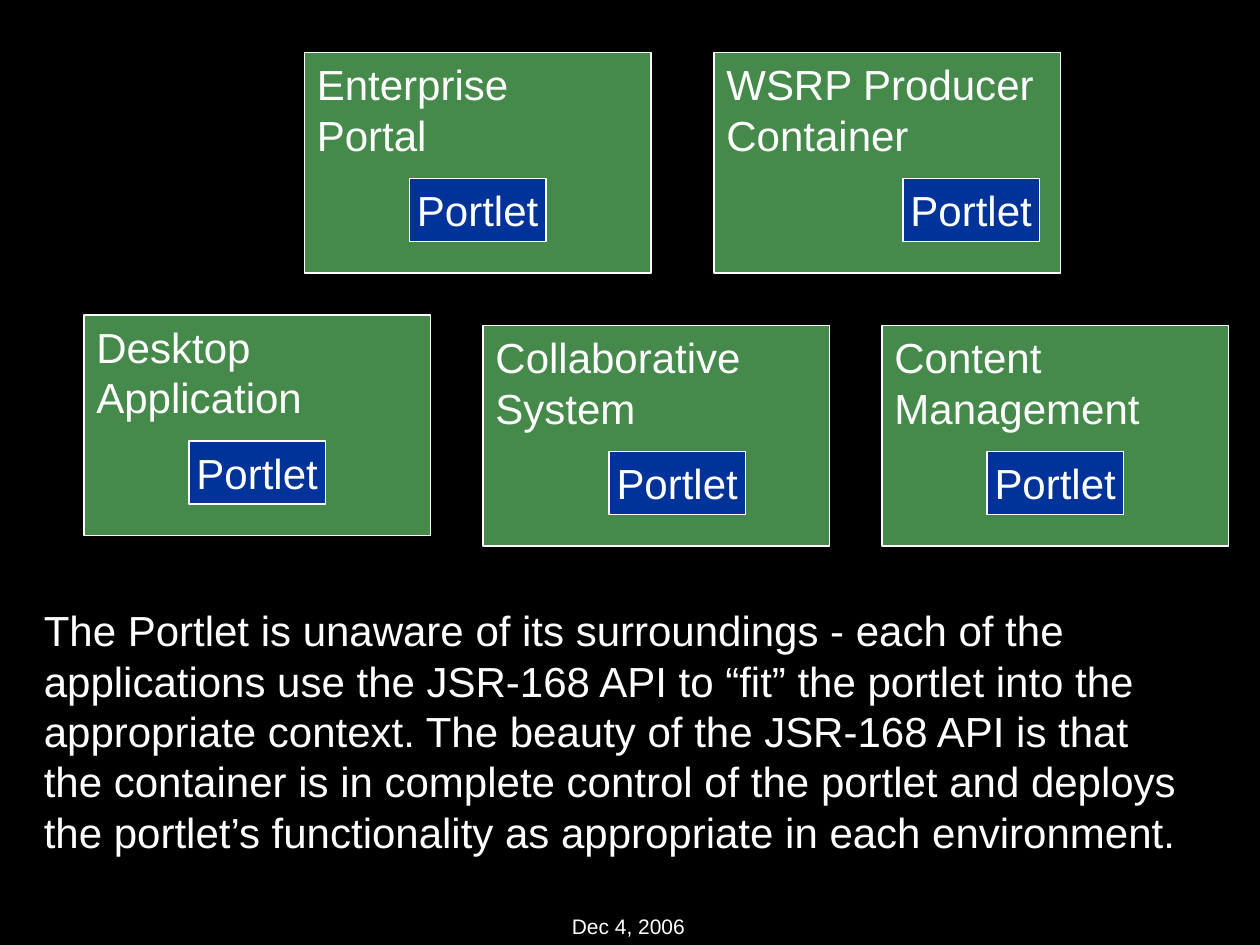
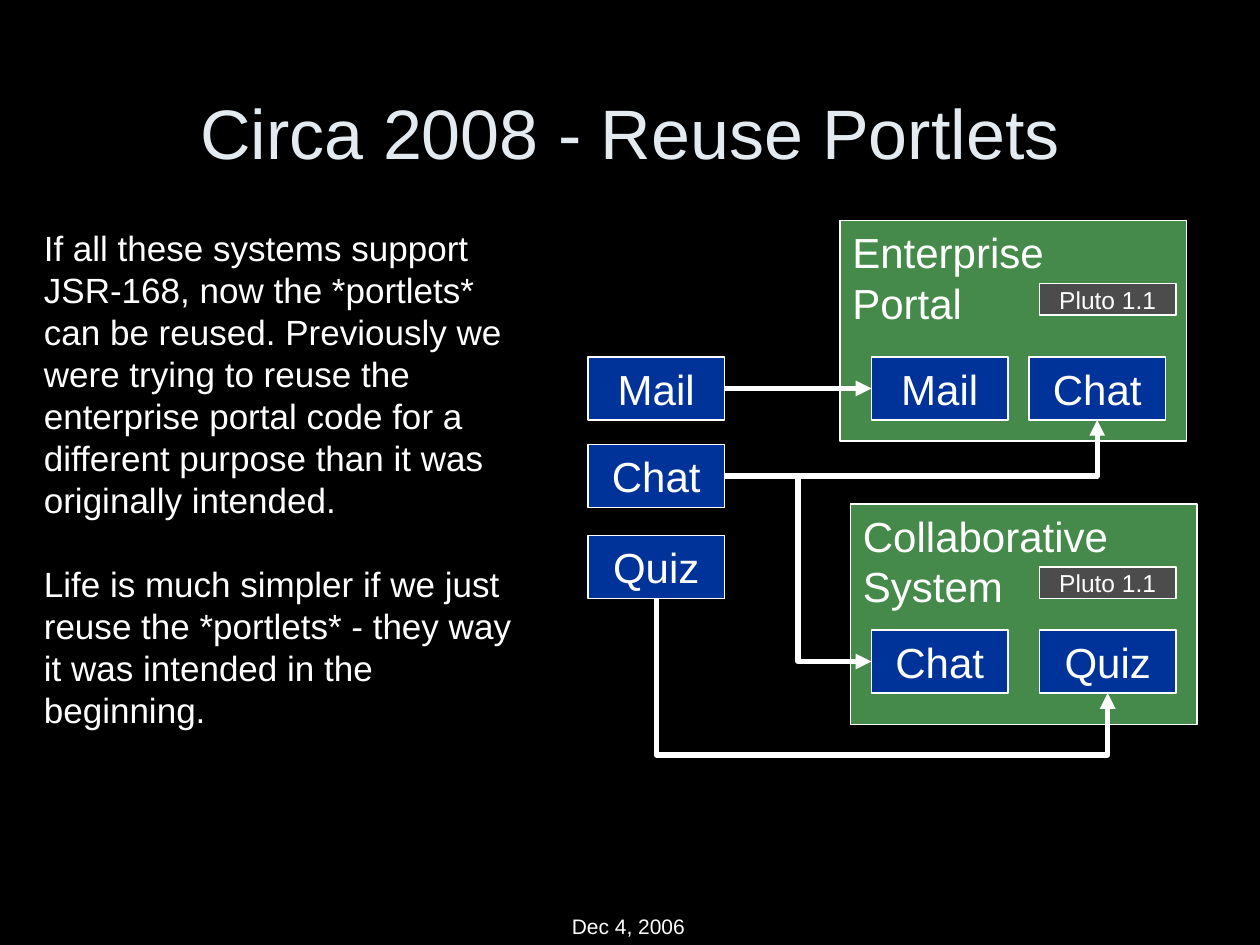
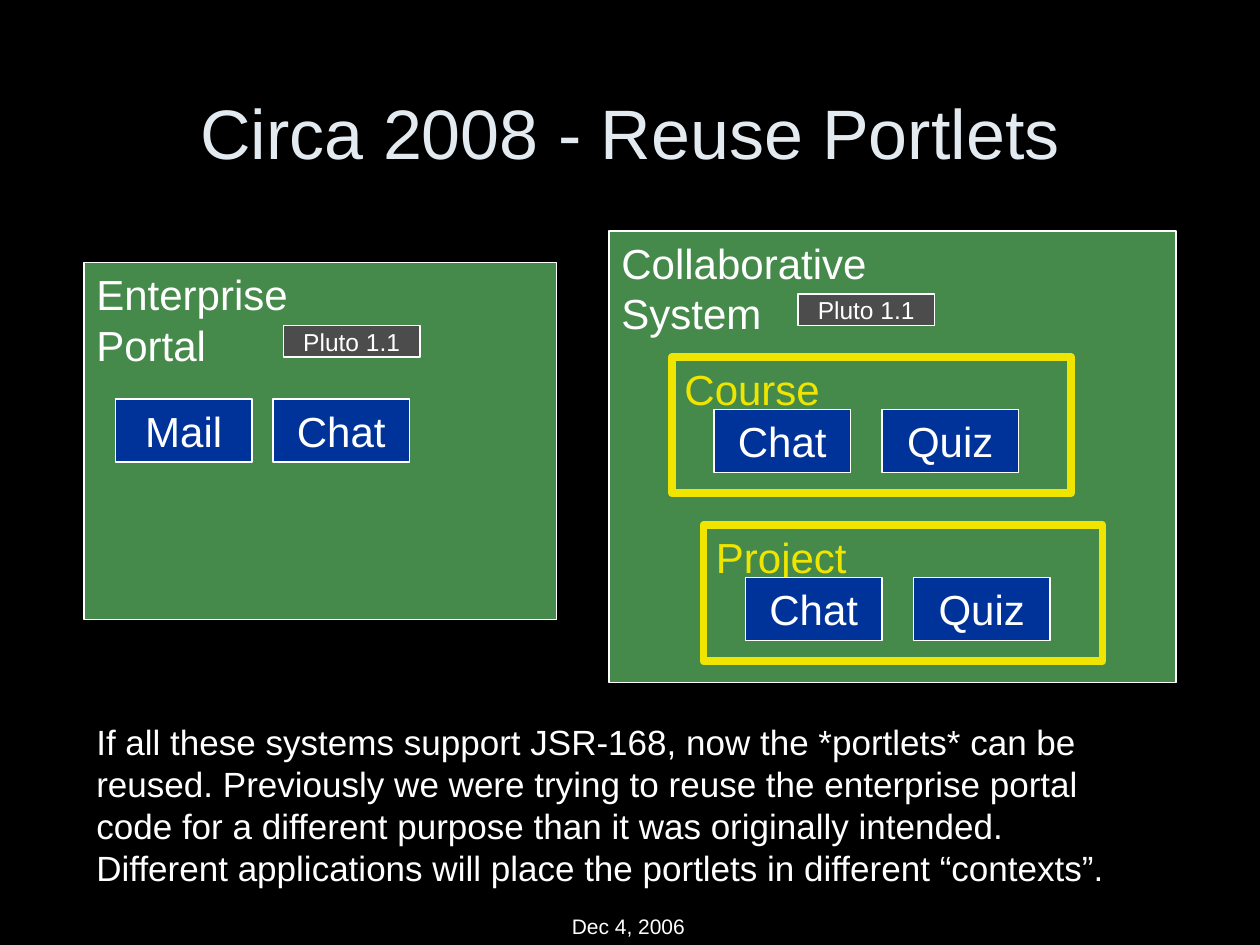
from dataclasses import dataclass
from typing import Optional

from lxml.etree import SubElement
from pptx import Presentation
from pptx.dml.color import RGBColor
from pptx.enum.shapes import MSO_CONNECTOR, MSO_SHAPE
from pptx.enum.text import MSO_ANCHOR, PP_ALIGN
from pptx.oxml.ns import qn
from pptx.presentation import Presentation as Deck
from pptx.shapes.autoshape import Shape
from pptx.shapes.connector import Connector
from pptx.slide import Slide
from pptx.text.text import TextFrame
from pptx.util import Pt

BLACK = RGBColor(0x00, 0x00, 0x00)
WHITE = RGBColor(0xFF, 0xFF, 0xFF)
GREEN = RGBColor(0x46, 0x8A, 0x4B)
BLUE = RGBColor(0x00, 0x33, 0x99)
GRAY = RGBColor(0x4C, 0x4C, 0x4C)
YELLOW = RGBColor(0xF0, 0xE5, 0x00)
PALE_BLUE = RGBColor(0xE3, 0xEB, 0xF1)

FONT = "Arial"
TITLE = "Circa 2008 - Reuse Portlets"
FOOTER = "Dec 4, 2006"
TOP, LEFT, BOTTOM, RIGHT = range(4)
PORTLET_WIDTH, PORTLET_HEIGHT = 78, 36
PLUTO_HEIGHT = 18
SYSTEM_WIDTH, SYSTEM_HEIGHT = 198, 126
CONTEXT_WIDTH, CONTEXT_HEIGHT = 228, 78


@dataclass(frozen=True)
class BoxStyle:
    fill: Optional[RGBColor]
    accent: RGBColor = WHITE
    line_width: float = 0.75
    size: float = 24
    centered: bool = False


SYSTEM = BoxStyle(GREEN)
PORTLET = BoxStyle(BLUE, centered=True)
PLUTO = BoxStyle(GRAY, size=14, centered=True)
CONTEXT = BoxStyle(None, YELLOW, 4.5)


@dataclass(frozen=True)
class HostSystem:
    name: str
    left: float
    top: float
    portlet_offset: float


@dataclass(frozen=True)
class Context:
    name: str
    left: float
    top: float


HOST_SYSTEMS = [
    HostSystem("Enterprise\nPortal", 174, 30, 60),
    HostSystem("WSRP Producer\nContainer", 408, 30, 108),
    HostSystem("Desktop\nApplication", 48, 180, 60),
    HostSystem("Collaborative\nSystem", 276, 186, 72),
    HostSystem("Content\nManagement", 504, 186, 60),
]
CONTEXTS = [Context("Course", 384, 204), Context("Project", 402, 300)]


def format_text(frame: TextFrame, size: float, color: RGBColor, centered: bool = False) -> None:
    for paragraph in frame.paragraphs:
        paragraph.alignment = PP_ALIGN.CENTER if centered else PP_ALIGN.LEFT
        for run in paragraph.runs:
            run.font.name = FONT
            run.font.size = Pt(size)
            run.font.color.rgb = color


def add_box(slide: Slide, text: str, left: float, top: float, width: float, height: float,
            style: BoxStyle) -> Shape:
    shape = slide.shapes.add_shape(MSO_SHAPE.RECTANGLE, Pt(left), Pt(top), Pt(width), Pt(height))
    shape.shadow.inherit = False
    if style.fill is None:
        shape.fill.background()
    else:
        shape.fill.solid()
        shape.fill.fore_color.rgb = style.fill
    shape.line.color.rgb = style.accent
    shape.line.width = Pt(style.line_width)
    frame = shape.text_frame
    frame.word_wrap = False
    frame.vertical_anchor = MSO_ANCHOR.MIDDLE if style.centered else MSO_ANCHOR.TOP
    frame.text = text
    format_text(frame, style.size, style.accent, style.centered)
    return shape


def add_system(slide: Slide, name: str, left: float, top: float,
               width: float = SYSTEM_WIDTH, height: float = SYSTEM_HEIGHT) -> Shape:
    return add_box(slide, name, left, top, width, height, SYSTEM)


def add_portlet(slide: Slide, name: str, left: float, top: float) -> Shape:
    return add_box(slide, name, left, top, PORTLET_WIDTH, PORTLET_HEIGHT, PORTLET)


def add_pluto(slide: Slide, left: float, top: float) -> Shape:
    return add_box(slide, "Pluto 1.1", left, top, PORTLET_WIDTH, PLUTO_HEIGHT, PLUTO)


def add_text(slide: Slide, text: str, left: float, top: float, width: float, height: float,
             size: float, color: RGBColor = WHITE, centered: bool = False,
             wrap: bool = True) -> TextFrame:
    frame = slide.shapes.add_textbox(Pt(left), Pt(top), Pt(width), Pt(height)).text_frame
    frame.word_wrap = wrap
    frame.text = text
    format_text(frame, size, color, centered)
    return frame


def add_arrow(slide: Slide, source: Shape, source_side: int, target: Shape, target_side: int,
              kind: MSO_CONNECTOR = MSO_CONNECTOR.ELBOW) -> Connector:
    connector = slide.shapes.add_connector(kind, 0, 0, 0, 0)
    connector.begin_connect(source, source_side)
    connector.end_connect(target, target_side)
    connector.line.color.rgb = WHITE
    connector.line.width = Pt(3)
    SubElement(connector.line._get_or_add_ln(), qn("a:tailEnd"), type="triangle")
    SubElement(connector._element.spPr, qn("a:effectLst"))
    return connector


def turn_once(connector: Connector) -> None:
    connector._element.spPr.find(qn("a:prstGeom")).set("prst", "bentConnector2")


def loop_below(connector: Connector, depth: float) -> None:
    span, rise = connector.width, connector.height
    center_x = connector.left + span // 2
    center_y = connector.top + rise // 2
    connector.left, connector.top = center_x - rise // 2, center_y - span // 2
    connector.width, connector.height = rise, span
    properties = connector._element.spPr
    transform = properties.find(qn("a:xfrm"))
    transform.set("rot", "16200000")
    transform.set("flipH", "1")
    adjustments = properties.find(qn("a:prstGeom")).find(qn("a:avLst"))
    ratio = round(100000 * Pt(depth) / rise)
    SubElement(adjustments, qn("a:gd"), name="adj1", fmla=f"val {ratio}")


def add_slide(presentation: Deck, title: Optional[str] = None) -> Slide:
    slide = presentation.slides.add_slide(presentation.slide_layouts[6])
    add_text(slide, FOOTER, 319.7, 518.4, 79.2, 21.6, 12, wrap=False)
    if title:
        frame = add_text(slide, title, 54, 30, 612, 90, 40, PALE_BLUE, centered=True)
        frame.vertical_anchor = MSO_ANCHOR.MIDDLE
    return slide


def build_surroundings(presentation: Deck) -> None:
    slide = add_slide(presentation)
    for system in HOST_SYSTEMS:
        add_system(slide, system.name, system.left, system.top)
        add_portlet(slide, "Portlet", system.left + system.portlet_offset, system.top + 72)
    add_text(
        slide,
        "The Portlet is unaware of its surroundings - each of the applications use the JSR-168 "
        "API to “fit” the portlet into the appropriate context. The beauty of the JSR-168 API "
        "is that the container is in complete control of the portlet and deploys the portlet’s "
        "functionality as appropriate in each environment.",
        18, 342, 670, 151, 24,
    )


def build_reuse(presentation: Deck) -> None:
    slide = add_slide(presentation, TITLE)
    frame = add_text(
        slide,
        "If all these systems support JSR-168, now the *portlets* can be reused. Previously we "
        "were trying to reuse the enterprise portal code for a different purpose than it was "
        "originally intended.\n"
        "Life is much simpler if we just reuse the *portlets* - they way it was intended in the "
        "beginning.",
        18, 126, 294, 295, 20,
    )
    frame.paragraphs[1].space_before = Pt(24)

    add_system(slide, "Collaborative\nSystem", 486, 288)
    add_system(slide, "Enterprise\nPortal", 480, 126)
    for top in (162, 324):
        add_pluto(slide, 594, top)

    mail = add_portlet(slide, "Mail", 336, 204)
    chat = add_portlet(slide, "Chat", 336, 254)
    quiz = add_portlet(slide, "Quiz", 336, 306)
    portal_mail = add_portlet(slide, "Mail", 498, 204)
    portal_chat = add_portlet(slide, "Chat", 588, 204)
    system_chat = add_portlet(slide, "Chat", 498, 360)
    system_quiz = add_portlet(slide, "Quiz", 594, 360)

    loop_below(add_arrow(slide, quiz, BOTTOM, system_quiz, BOTTOM), 89.4)
    turn_once(add_arrow(slide, chat, RIGHT, portal_chat, BOTTOM))
    add_arrow(slide, chat, RIGHT, system_chat, LEFT)
    add_arrow(slide, mail, RIGHT, portal_mail, LEFT, MSO_CONNECTOR.STRAIGHT)


def build_contexts(presentation: Deck) -> None:
    slide = add_slide(presentation, TITLE)
    add_text(
        slide,
        "If all these systems support JSR-168, now the *portlets* can be reused. Previously we "
        "were trying to reuse the enterprise portal code for a different purpose than it was "
        "originally intended. Different applications will place the portlets in different "
        "“contexts”.",
        48, 408, 606, 104, 20,
    )
    add_system(slide, "Collaborative\nSystem", 348, 132, 324, 258)
    add_system(slide, "Enterprise\nPortal", 48, 150, 270, 204)
    add_pluto(slide, 162, 186)
    add_pluto(slide, 456, 168)
    add_portlet(slide, "Mail", 66, 228)
    add_portlet(slide, "Chat", 156, 228)
    for context in CONTEXTS:
        add_box(slide, context.name, context.left, context.top,
                CONTEXT_WIDTH, CONTEXT_HEIGHT, CONTEXT)
        for name, offset in (("Chat", 24), ("Quiz", 120)):
            add_portlet(slide, name, context.left + offset, context.top + 30)


def main() -> None:
    presentation = Presentation()
    presentation.slide_width, presentation.slide_height = Pt(720), Pt(540)
    background = presentation.slide_master.background.fill
    background.solid()
    background.fore_color.rgb = BLACK
    build_surroundings(presentation)
    build_reuse(presentation)
    build_contexts(presentation)
    presentation.save("out.pptx")


if __name__ == "__main__":
    main()
